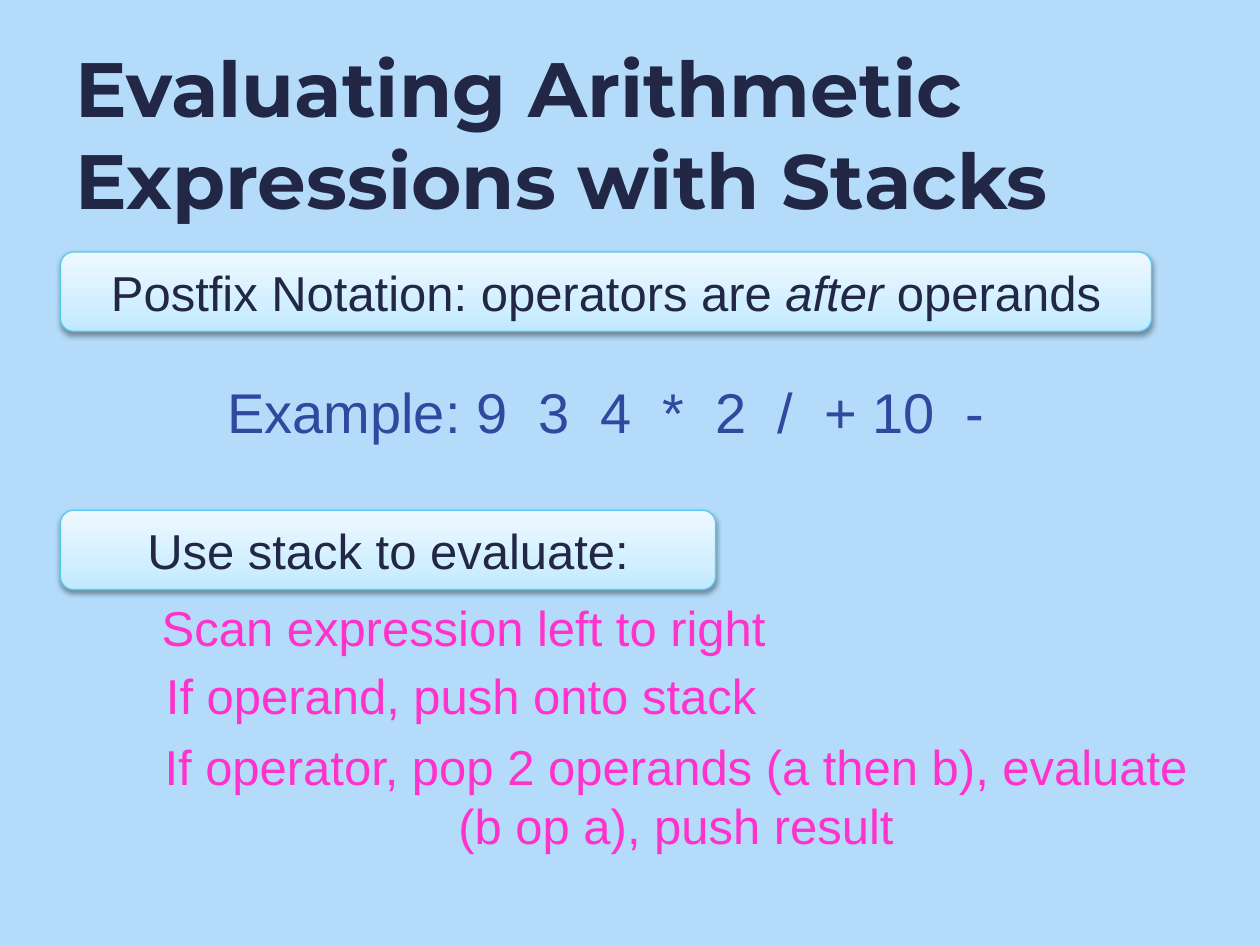
from lxml.etree import fromstring
from pptx import Presentation
from pptx.dml.color import RGBColor
from pptx.enum.shapes import MSO_SHAPE
from pptx.enum.text import MSO_ANCHOR, MSO_AUTO_SIZE, PP_ALIGN
from pptx.oxml.ns import nsdecls
from pptx.util import Inches, Pt

SKY = RGBColor(0xB4, 0xDC, 0xFA)
NAVY = RGBColor(0x21, 0x27, 0x45)
BLUE = RGBColor(0x31, 0x48, 0x9F)
PINK = RGBColor(0xFF, 0x33, 0xCC)
AQUA = RGBColor(0x58, 0xC9, 0xF1)
PANEL_STOPS = (
    (0, RGBColor(0xBF, 0xE9, 0xFF)),
    (35, RGBColor(0xD2, 0xEF, 0xFF)),
    (100, RGBColor(0xEE, 0xF9, 0xFF)),
)


class StackSlide:
    """Holds the text style and the current page of the stack lesson."""

    body_font = "Arial"
    title_font = "Montserrat"

    def __init__(self, deck):
        self.page = deck.slides.add_slide(deck.slide_layouts[6])
        background = self.page.background.fill
        background.solid()
        background.fore_color.rgb = SKY

    def add_text(self, box, spans, align, color, **format_values):
        frame = box.text_frame
        frame.word_wrap = True
        frame.vertical_anchor = MSO_ANCHOR.MIDDLE
        para = frame.paragraphs[0]
        para.alignment = align
        for text, italic in spans:
            span = para.add_run()
            span.text = text
            span.font.color.rgb = color
            for name, value in {**format_values, "italic": italic}.items():
                setattr(span.font, name, value)

    def title(self, place, text):
        box = self.page.shapes.add_textbox(*map(Inches, place))
        self.add_text(box, [(text, False)], PP_ALIGN.LEFT, NAVY,
                      name=self.title_font, size=Pt(44), bold=True)

    def label(self, place, spans, color, size=28):
        box = self.page.shapes.add_shape(MSO_SHAPE.ROUNDED_RECTANGLE, *map(Inches, place))
        box.shadow.inherit = False
        box.fill.background()
        box.line.fill.background()
        self.add_text(box, spans, PP_ALIGN.CENTER, color,
                      name=self.body_font, size=Pt(size))
        box.text_frame.auto_size = MSO_AUTO_SIZE.SHAPE_TO_FIT_TEXT
        return box

    def panel(self, place, spans):
        box = self.label(place, spans, NAVY)
        box.line.color.rgb = AQUA
        box.line.width = Pt(0.75)
        stops = "".join(
            f'<a:gs pos="{position * 1000}"><a:srgbClr val="{color}"/></a:gs>'
            for position, color in PANEL_STOPS
        )
        gradient = fromstring(
            f'<a:gradFill {nsdecls("a")} rotWithShape="1"><a:gsLst>{stops}</a:gsLst>'
            '<a:lin ang="16200000" scaled="0"/></a:gradFill>'
        )
        shadow = fromstring(
            f'<a:outerShdw {nsdecls("a")} blurRad="{Pt(3.1)}" dist="{Pt(1.6)}" '
            'dir="5400000" rotWithShape="0"><a:srgbClr val="000000">'
            '<a:alpha val="38000"/></a:srgbClr></a:outerShdw>'
        )
        properties = box.element.spPr
        properties.replace(properties.find("{*}noFill"), gradient)
        properties.find("{*}effectLst").append(shadow)


deck = Presentation()
deck.slide_width, deck.slide_height = Inches(10), Inches(7.5)
slide = StackSlide(deck)

slide.title((0.5, 0.27, 9.17, 1.57), "Evaluating Arithmetic Expressions with Stacks")
slide.panel((0.48, 2, 8.66, 0.63), [
    ("Postfix Notation: operators are ", False),
    ("after", True),
    (" operands", False),
])
slide.panel((0.48, 4.05, 5.2, 0.63), [("Use stack to evaluate:", False)])
slide.label((1.54, 2.91, 6.55, 0.71),
            [("Example: 9  3  4  *  2  /  + 10  -", False)], BLUE, 32)

STEPS = (
    (1.08, 5.2, 0.63, "Scan expression left to right"),
    (1.06, 5.2, 0.63, "If operand, push onto stack"),
    (1.06, 8.61, 1.15,
     "If operator, pop 2 operands (a then b), evaluate (b op a), push result"),
)
for index, (left, width, height, text) in enumerate(STEPS):
    slide.label((left, 4.66 + 0.54 * index, width, height), [(text, False)], PINK)

deck.save("out.pptx")
